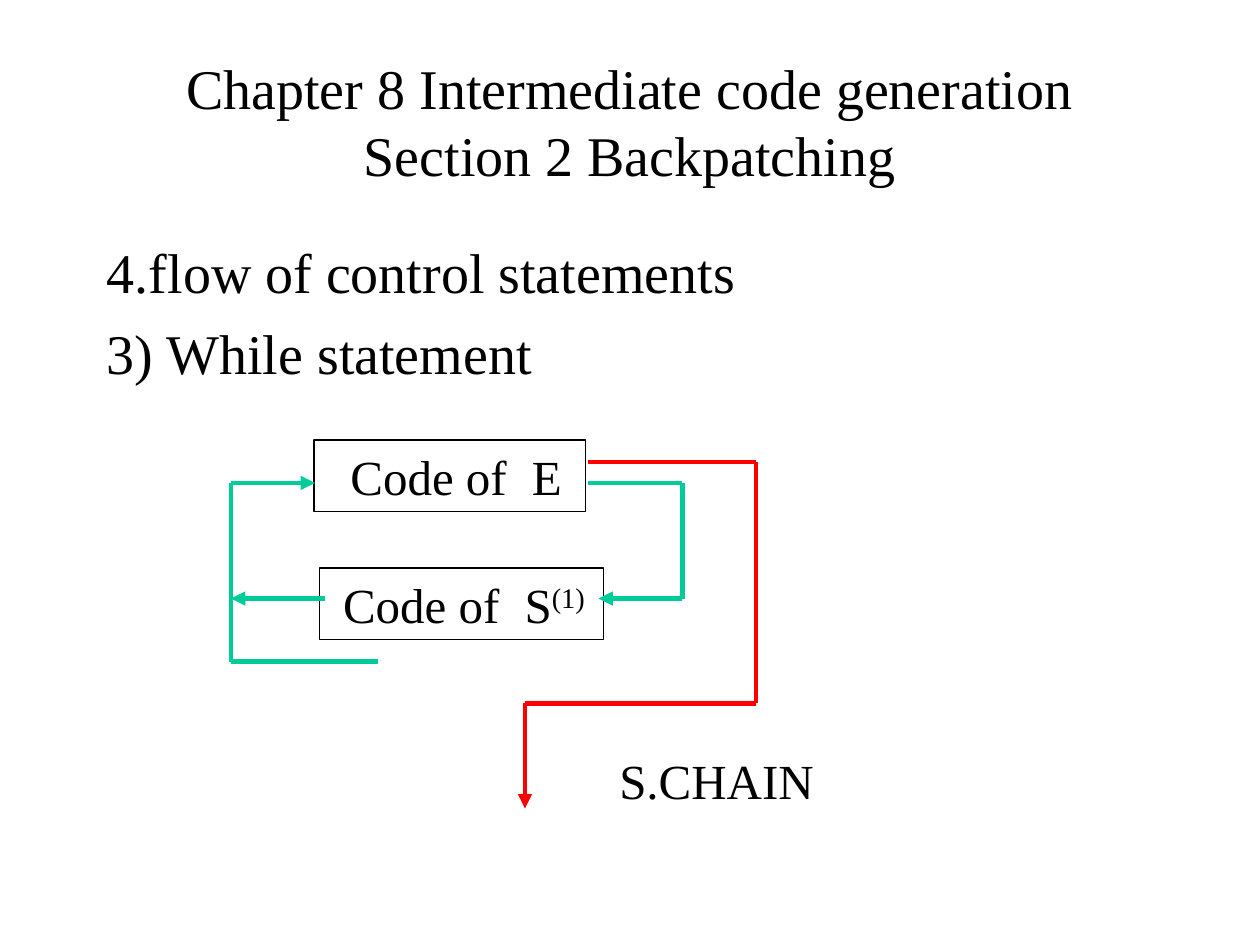
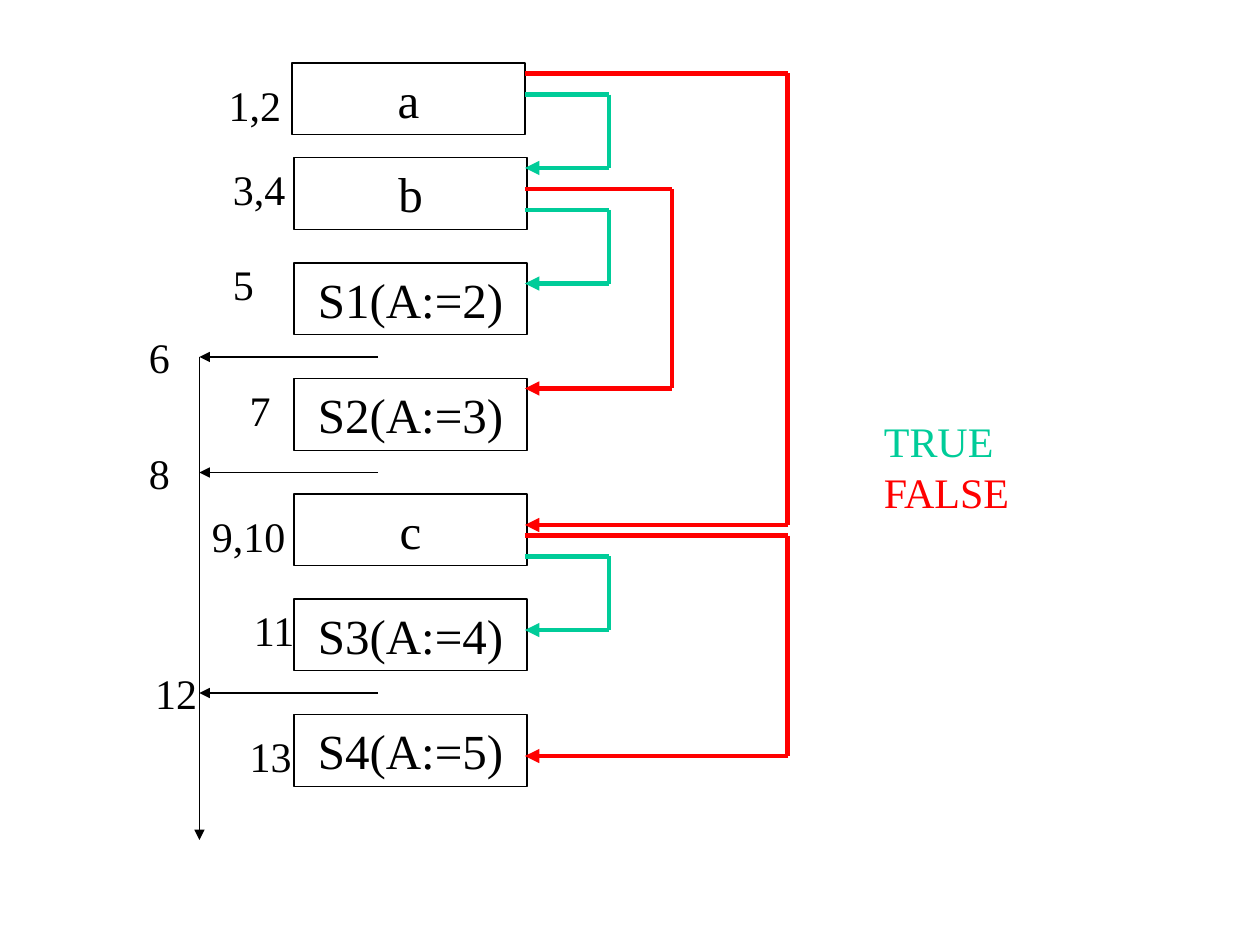
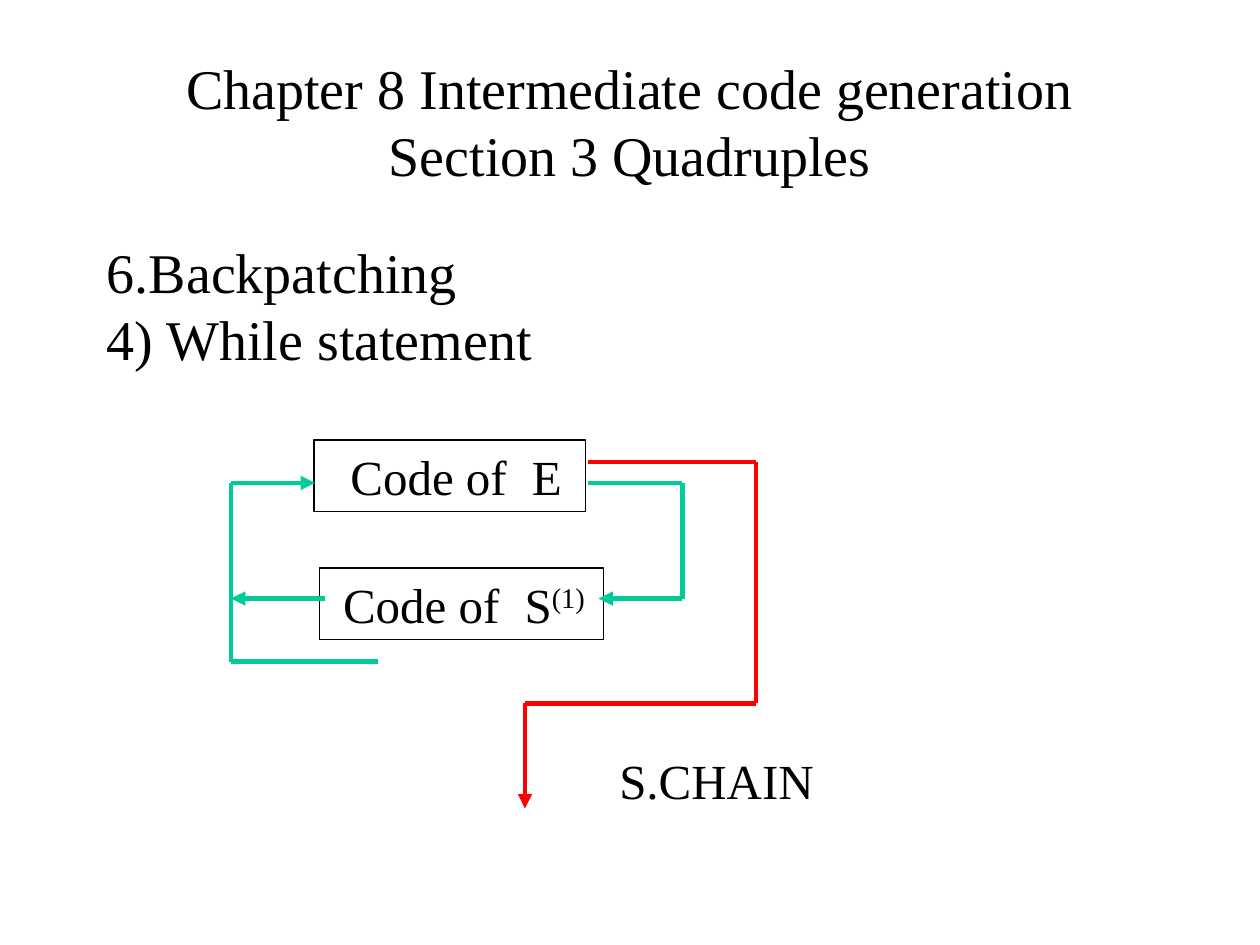
from dataclasses import dataclass

from lxml.etree import SubElement
from pptx import Presentation
from pptx.dml.color import RGBColor
from pptx.enum.shapes import MSO_CONNECTOR as Connector, MSO_SHAPE as Preset
from pptx.enum.text import MSO_ANCHOR as Anchor, PP_ALIGN as Align
from pptx.oxml.ns import qn
from pptx.util import Inches, Pt

CELL = 1 / 12
FONT = "Times New Roman"
BLACK, RED, GREEN = "000000", "FF0000", "00CC99"
TITLE_SIZE, NODE_SIZE, LABEL_SIZE = 32, 28, 24
THIN, THICK = 0.75, 2.75
NODE_HEIGHT = 6.84


@dataclass
class Region:
    """A part of a slide measured in grid columns and rows from its own corner."""

    page: object
    column: float
    row: float

    def point(self, column, row):
        """Return slide coordinates of a grid position inside the region."""
        return Inches((self.column + column) * CELL), Inches((self.row + row) * CELL)

    def frame(self, column, row, columns, rows):
        """Return left, top, width and height of a box inside the region."""
        return *self.point(column, row), Inches(columns * CELL), Inches(rows * CELL)


def paint(color_format, value):
    """Set a colour from a hex string."""
    color_format.rgb = RGBColor.from_string(value)


def style_runs(para, size, color):
    """Give every run of a paragraph the deck font and line pitch."""
    para.line_spacing = Pt(round(size * 1.2, 1))
    for span in para.runs:
        span.font.name = FONT
        span.font.size = Pt(size)
        paint(span.font.color, color)


def write(box, lines, size, align=Align.LEFT, anchor=Anchor.TOP, gap=0, colors=(BLACK,)):
    """Fill a box with paragraphs, cycling through the colours."""
    frame = box.text_frame
    frame.word_wrap = True
    frame.vertical_anchor = anchor
    frame.text = "\n".join(lines)
    for index, para in enumerate(frame.paragraphs):
        para.alignment = align
        if index and gap:
            para.space_before = Pt(gap)
        style_runs(para, size, colors[index % len(colors)])


def add_label(region, place, lines, size, **style):
    """Add plain text at a grid place."""
    box = region.page.shapes.add_textbox(*region.frame(*place))
    write(box, lines, size, **style)


def add_node(region, column, row, columns, text, align=Align.CENTER):
    """Add an outlined code box and return it."""
    box = region.page.shapes.add_shape(
        Preset.RECTANGLE, *region.frame(column, row, columns, NODE_HEIGHT))
    box.shadow.inherit = False
    box.fill.background()
    paint(box.line.color, BLACK)
    box.line.width = Pt(THIN)
    write(box, [text], NODE_SIZE, align)
    return box


def add_code_node(region, column, row, columns, name, indent, power=""):
    """Add a box reading 'Code of' and a tabbed symbol with an optional superscript."""
    box = add_node(region, column, row, columns, f"Code of\t{name}", Align.LEFT)
    box.text_frame.margin_left = Inches(indent)
    para = box.text_frame.paragraphs[0]
    tabs = SubElement(para._p.get_or_add_pPr(), qn("a:tabLst"))
    SubElement(tabs, qn("a:tab"), pos=str(Inches(1.44)), algn="l")
    if power:
        span = para.add_run()
        span.text = power
        style_runs(para, NODE_SIZE, BLACK)
        span._r.get_or_add_rPr().set("baseline", "30000")


def add_route(region, points, color, width=THICK):
    """Join grid points with straight connectors, the last one with an arrowhead."""
    for index, (start, end) in enumerate(zip(points, points[1:]), 2):
        link = region.page.shapes.add_connector(
            Connector.STRAIGHT, *region.point(*start), *region.point(*end))
        paint(link.line.color, color)
        link.line.width = Pt(width)
        if index == len(points):
            SubElement(link.line._get_or_add_ln(), qn("a:tailEnd"), type="triangle")
        SubElement(link._element.spPr, qn("a:effectLst"))


def draw_while_flow(region):
    """Draw the control flow of a while statement."""
    add_code_node(region, 7.9, 0.9, 25.9, "E", 0.29)
    add_code_node(region, 8.4, 13.1, 27.1, "S", 0.19, "(1)")
    add_route(region, [(34, 3), (50, 3), (50, 26), (28, 26), (28, 36)], RED)
    add_route(region, [(34, 5), (43, 5), (43, 16), (35, 16)], GREEN)
    add_route(region, [(9, 16), (0, 16)], GREEN)
    add_route(region, [(14, 22), (0, 22), (0, 5), (8, 5)], GREEN)
    add_label(region, (35.8, 29.9, 21.2, NODE_HEIGHT), ["S.CHAIN"], NODE_SIZE)


def draw_branch_flow(region):
    """Draw numbered code boxes with their true, false and exit jumps."""
    trunk, left, right = 6, 15, 37
    nodes = [("a", left - 0.2, 0), ("b", left, 9), ("S1(A:=2)", left, 19.05),
             ("S2(A:=3)", left, 30.05), ("c", left, 41.05),
             ("S3(A:=4)", left, 51.05), ("S4(A:=5)", left, 62.05)]
    for text, column, row in nodes:
        add_node(region, column, row, 22.2, text)

    jumps = [(RED, 62, 1, 44), (RED, 51, 12, 31), (RED, 62, 45, 66),
             (GREEN, 45, 3, 10), (GREEN, 45, 14, 21), (GREEN, 45, 47, 54)]
    for color, bend, start, end in jumps:
        add_route(region, [(right, start), (bend, start), (bend, end), (right, end)], color)

    exits = [28, 39, 60]
    for row in exits:
        add_route(region, [(23, row), (trunk, row)], BLACK, THIN)
    add_route(region, [(trunk, exits[0]), (trunk, 74)], BLACK, THIN)

    numbers = [("1,2", 7.6, 1), ("3,4", 8, 9), ("5", 8, 18), ("7", 9.6, 30),
               ("9,10", 6, 42), ("11", 10, 51), ("13", 9.6, 63),
               ("6", 0, 25), ("8", 0, 36), ("12", 0.6, 57)]
    for text, column, row in numbers:
        columns = 2.4 + 2 * len(text) - text.count(",")
        add_label(region, (column, row, columns, 6), [text], LABEL_SIZE)
    add_label(region, (70, 33, 14.7, 10.8), ["TRUE", "FALSE"], LABEL_SIZE,
              colors=(GREEN, RED))


def build_while_slide(page, section, lines, gap):
    """Build a titled slide with two text lines above the while diagram."""
    body = Region(page, 9, 2)
    title = f"Chapter 8 Intermediate code generation {section}"
    add_label(body, (0, 0, 102, 19), [title], TITLE_SIZE,
              align=Align.CENTER, anchor=Anchor.MIDDLE)
    add_label(body, (0, 20, 102, 60), lines, TITLE_SIZE, gap=gap)
    draw_while_flow(Region(page, 22, 41))


def main():
    """Build and save the deck."""
    deck = Presentation()
    deck.slide_width, deck.slide_height = Inches(10), Inches(7.5)
    blank = deck.slide_layouts[6]
    build_while_slide(deck.slides.add_slide(blank), "Section 2 Backpatching",
                      ["4.flow of control statements", "3) While statement"], 8)
    draw_branch_flow(Region(deck.slides.add_slide(blank), 13, 6))
    build_while_slide(deck.slides.add_slide(blank), "Section 3 Quadruples",
                      ["6.Backpatching", "4) While statement"], 0)
    deck.save("out.pptx")


if __name__ == "__main__":
    main()
